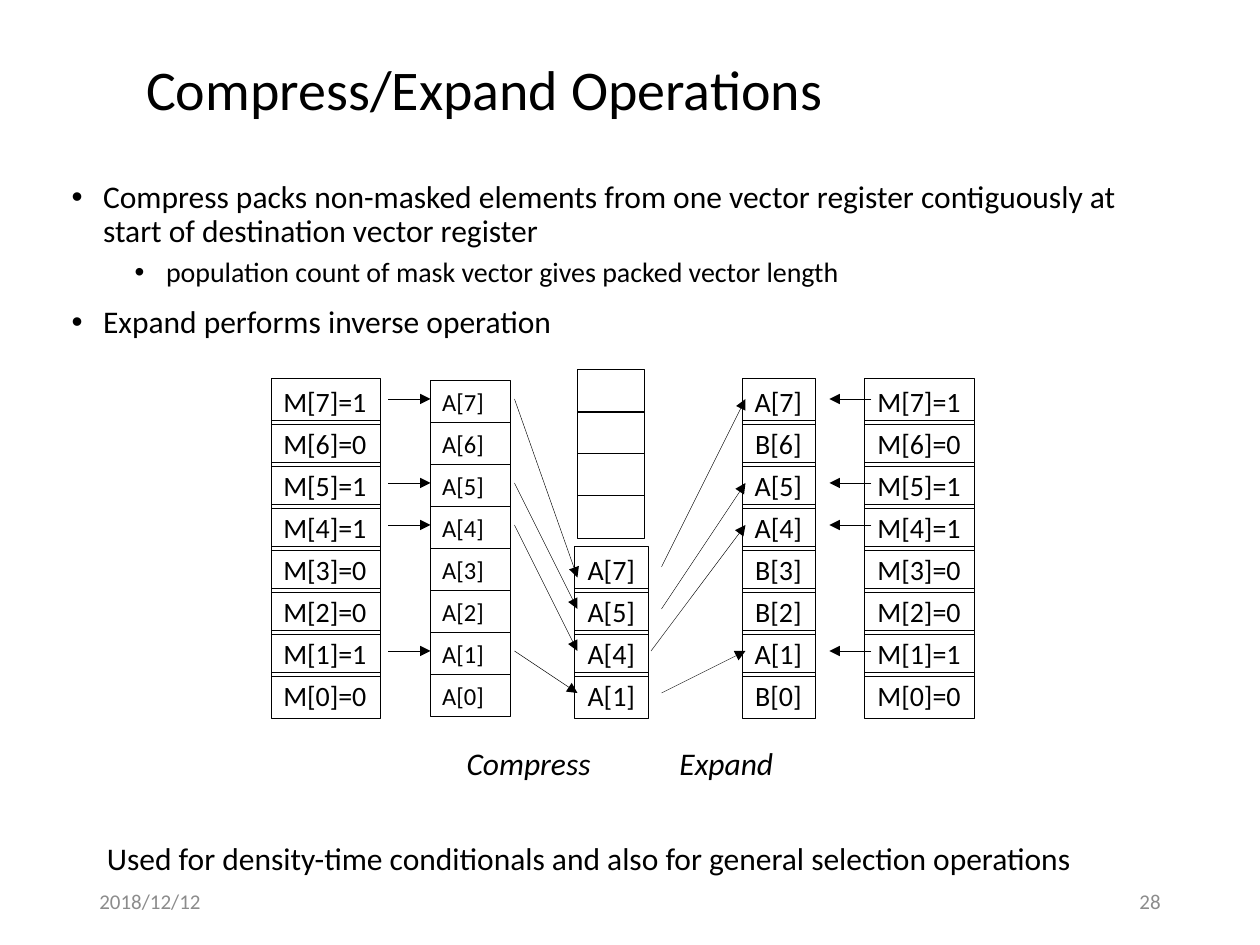
from lxml import etree
from pptx import Presentation
from pptx.dml.color import RGBColor
from pptx.enum.shapes import MSO_CONNECTOR, MSO_SHAPE
from pptx.enum.text import MSO_ANCHOR, PP_ALIGN
from pptx.oxml.ns import qn
from pptx.util import Pt

BLACK = RGBColor(0, 0, 0)
GRAY = RGBColor(0x8C, 0x8C, 0x8C)
LEFT, CENTER, RIGHT = PP_ALIGN.LEFT, PP_ALIGN.CENTER, PP_ALIGN.RIGHT
MIDDLE = MSO_ANCHOR.MIDDLE
RECT = MSO_SHAPE.RECTANGLE
STRAIGHT = MSO_CONNECTOR.STRAIGHT

FONT = "Calibri"
PITCH = 24
HAIR = 0.25
MASK = {7: 1, 6: 0, 5: 1, 4: 1, 3: 0, 2: 0, 1: 1, 0: 0}
KEPT = [row for row, bit in MASK.items() if bit]
MASKS = [f"M[{row}]={bit}" for row, bit in MASK.items()]
SOURCE = [f"A[{row}]" for row in MASK]
PACKED = [f"A[{row}]" for row in KEPT]
MERGED = [f"{'A' if bit else 'B'}[{row}]" for row, bit in MASK.items()]
POINTS = [
    ("Compress packs non-masked elements from one vector register "
     "contiguously at start of destination vector register", 0),
    ("population count of mask vector gives packed vector length", 1),
    ("Expand performs inverse operation", 0),
]


def write(frame, text, size=18, color=BLACK, align=LEFT, italic=False,
          wrap=True, first=True, spacing=None, before=0):
    """Write one formatted paragraph in a text frame and return it."""
    frame.word_wrap = wrap
    frame.vertical_anchor = MIDDLE
    para = frame.paragraphs[0] if first else frame.add_paragraph()
    para.alignment = align
    para.line_spacing = spacing
    para.space_before = Pt(before)
    run = para.add_run()
    run.text = text
    font = run.font
    font.name, font.size, font.italic = FONT, Pt(size), italic
    font.color.rgb = color
    return para


def label(slide, box, text, **style):
    """Add a text box holding one paragraph."""
    shape = slide.shapes.add_textbox(*map(Pt, box))
    write(shape.text_frame, text, **style)


def cell(slide, box, text, **style):
    """Add one outlined register cell."""
    shape = slide.shapes.add_shape(RECT, *map(Pt, box))
    shape.shadow.inherit = False
    shape.fill.background()
    shape.line.color.rgb = BLACK
    shape.line.width = Pt(HAIR)
    if text:
        write(shape.text_frame, text, wrap=False, **style)


def column(slide, box, texts, **style):
    """Stack cells at an equal pitch, the box being that of the top cell."""
    left, top, width, height = box
    for step, text in enumerate(texts):
        cell(slide, (left, top + step * PITCH, width, height), text, **style)


def arrow(slide, start, end):
    """Add a thin line with an arrowhead at its end."""
    line = slide.shapes.add_connector(STRAIGHT, *map(Pt, (*start, *end)))
    line.line.color.rgb = BLACK
    line.line.width = Pt(HAIR)
    props = line._element.spPr
    etree.SubElement(props.get_or_add_ln(), qn("a:tailEnd"), type="triangle")
    etree.SubElement(props, qn("a:effectLst"))


def level(top, row):
    """Return the height at which arrows meet a register row."""
    return top + 12 + (7 - row) * PITCH


def heading(slide, box, text):
    """Place and format the title placeholder."""
    title = slide.shapes.title
    title.left, title.top, title.width, title.height = map(Pt, box)
    write(title.text_frame, text, size=32, spacing=0.9)


def bullets(slide, box, points):
    """Add the bulleted list with two levels."""
    frame = slide.shapes.add_textbox(*map(Pt, box)).text_frame
    for index, (text, depth) in enumerate(points):
        para = write(frame, text, size=18 - 2 * depth, first=index == 0,
                     spacing=0.9, before=10 - 5 * depth)
        para.level = depth
        props = para._p.get_or_add_pPr()
        props.set("marL", str(Pt(18 + 36 * depth)))
        props.set("indent", str(Pt(-18)))
        etree.SubElement(props, qn("a:buFont"), typeface="Arial")
        etree.SubElement(props, qn("a:buChar"), char="•")


def compress(slide, left, top):
    """Draw mask, source and packed registers with their arrows."""
    column(slide, (left, top, 62.6, 26.6), MASKS, size=16)
    column(slide, (left + 90.8, top + 1.2, 46.2, 24.3), SOURCE, size=14)
    column(slide, (left + 173.6, top + 96, 41.8, 26.6), PACKED,
           size=16, align=CENTER)
    column(slide, (left + 175, top - 5, 38.3, 24.3), [""] * 4)
    for row, slot in zip(KEPT, (114, 132, 156, 180)):
        y = level(top, row)
        arrow(slide, (left + 67, y), (left + 91.2, y))
        arrow(slide, (left + 139.2, y), (left + 175.2, top + slot))
    label(slide, (left + 89.3, top + 201.6, 115.9, 36.7), "Compress",
          italic=True, align=CENTER, wrap=False)


def expand(slide, left, top):
    """Draw merged and mask registers with their arrows."""
    column(slide, (left + 52, top, 41.6, 26.6), MERGED, size=16, align=CENTER)
    column(slide, (left + 121.9, top, 62.6, 26.6), MASKS,
           size=16, align=CENTER)
    for slot, (row, x) in enumerate(zip(KEPT, (6, 6, 0, 6))):
        y = level(top, row)
        arrow(slide, (left + x, top + 108 + slot * PITCH), (left + 54, y))
        arrow(slide, (left + 126, y), (left + 102, y))
    label(slide, (left - 3.4, top + 201.6, 92.9, 36.7), "Expand",
          italic=True, align=CENTER, wrap=False)


def footer(slide, left, top):
    """Add the closing remark, the date and the slide number."""
    label(slide, (left + 4.3, top - 43.2, 606.2, 65.5),
          "Used for density-time conditionals and also for general "
          "selection operations")
    label(slide, (left, top, 162, 28.8), "2018/12/12", size=12, color=GRAY)
    label(slide, (left + 458.6, top, 162, 28.8), "28",
          size=12, color=GRAY, align=RIGHT)


def main():
    """Build and save the slide."""
    deck = Presentation()
    deck.slide_width, deck.slide_height = Pt(720), Pt(540)
    slide = deck.slides.add_slide(deck.slide_layouts[5])
    heading(slide, (76.3, 26.6, 563.8, 52.6), "Compress/Expand Operations")
    bullets(slide, (33.8, 101.5, 642.2, 95), POINTS)
    compress(slide, 154.8, 216)
    expand(slide, 372, 216)
    footer(slide, 49.7, 500.4)
    deck.save("out.pptx")


if __name__ == "__main__":
    main()
